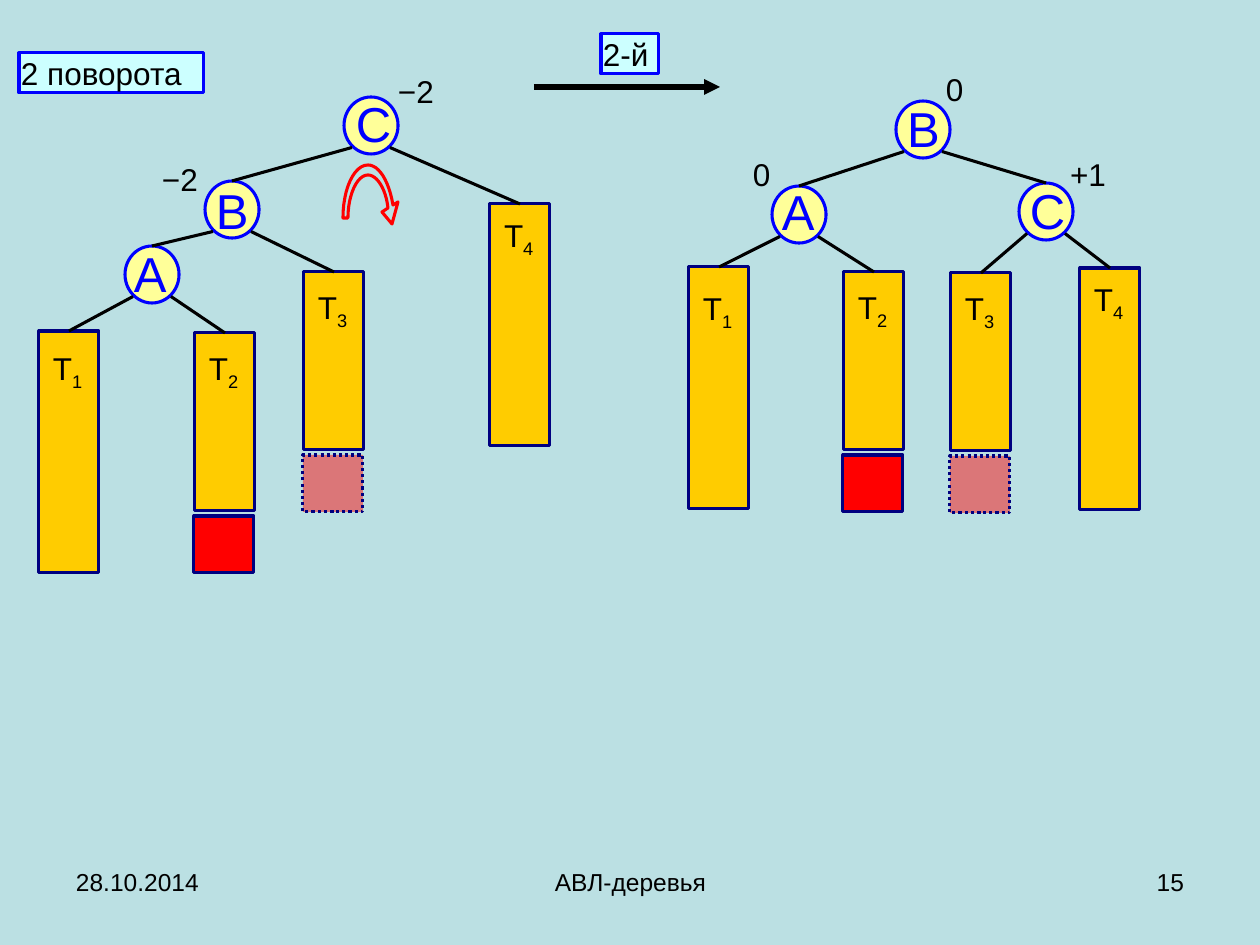
import pptx
import pptx.util
import pptx.dml.color
import pptx.enum.dml
import pptx.enum.shapes
import pptx.enum.text
import pptx.oxml
import pptx.oxml.ns
from lxml import etree

RGB = pptx.dml.color.RGBColor
SHAPE = pptx.enum.shapes.MSO_SHAPE
ALIGN = pptx.enum.text.PP_ALIGN

BACKGROUND = RGB(0xBB, 0xE0, 0xE3)
BLACK = RGB(0, 0, 0)
BLUE = RGB(0, 0, 0xFF)
NAVY = RGB(0, 0, 0x80)
RED = RGB(0xFF, 0, 0)
GOLD = RGB(0xFF, 0xCC, 0)
PALE_YELLOW = RGB(0xFF, 0xFF, 0x99)
PALE_CYAN = RGB(0xCC, 0xFF, 0xFF)

NODE_W, NODE_H = 54, 57
RIM_DX, RIM_DY = 19, 22  # where edges leave a node, from its centre
SUBTREE_W, TALL, SHORT = 60, 242, 178
BLOCK_H = 57

# Nodes: letter -> circle left, top, letter left, top
# Subtrees: index -> left, top, height, label drop, extra block
# Edges: parent -> left child, right child
BEFORE = {
    "nodes": {"A": (125, 246, 132, 243), "B": (205, 181, 214, 180),
              "C": (344, 97, 354, 93)},
    "subtrees": {"1": (39, 331, TALL, 17, None), "2": (195, 333, SHORT, 15, "solid"),
                 "3": (304, 272, SHORT, 15, "dotted"), "4": (490, 204, TALL, 11, None)},
    "edges": {"A": "12", "B": "A3", "C": "B4"},
    "balances": [("−2", 396, 71), ("−2", 160, 159)],
}
AFTER = {
    "nodes": {"A": (772, 186, 780, 181), "B": (896, 101, 905, 98),
              "C": (1019, 183, 1028, 180)},
    "subtrees": {"1": (689, 267, TALL, 21, None), "2": (844, 272, SHORT, 15, "solid"),
                 "3": (951, 273, SHORT, 15, "dotted"), "4": (1080, 268, TALL, 11, None)},
    "edges": {"A": "12", "B": "AC", "C": "34"},
    "balances": [("0", 944, 69), ("0", 751, 154), ("+1", 1068, 154)],
}


def px(*lengths):
    return [pptx.util.Emu(round(n * 914400 / 126)) for n in lengths]


def style(shape, fill, line):
    shape.shadow.inherit = False
    shape.fill.solid()
    shape.fill.fore_color.rgb = fill
    shape.line.color.rgb = line
    shape.line.width = pptx.util.Pt(1.75)


def add_figure(slide, kind, box, fill, line):
    figure = slide.shapes.add_shape(kind, *px(*box))
    style(figure, fill, line)
    return figure


def write(shape, text, size, color=BLACK, subscript="", align=ALIGN.LEFT,
          wrap=True, insets=(2, 1)):
    frame = shape.text_frame
    frame.word_wrap = wrap
    frame.vertical_anchor = pptx.enum.text.MSO_ANCHOR.TOP
    frame.margin_left = frame.margin_right = px(insets[0])[0]
    frame.margin_top = frame.margin_bottom = px(insets[1])[0]
    paragraph = frame.paragraphs[0]
    paragraph.alignment = align
    for part in filter(None, (text, subscript)):
        run = paragraph.add_run()
        run.text = part
        run.font.name = "Arial"
        run.font.size = pptx.util.Pt(size)
        run.font.color.rgb = color
    if subscript:
        run.font._element.set("baseline", "-25000")


def add_label(slide, box, text, size, **options):
    write(slide.shapes.add_textbox(*px(*box)), text, size, **options)


def add_line(slide, start, end, width=1.75):
    line = slide.shapes.add_connector(
        pptx.enum.shapes.MSO_CONNECTOR.STRAIGHT, *px(*start, *end))
    line.line.color.rgb = BLACK
    line.line.width = pptx.util.Pt(width)
    etree.SubElement(line._element.spPr, pptx.oxml.ns.qn("a:effectLst"))
    return line


def add_subtree(slide, index, left, top, height, drop, block):
    if block:
        extra = add_figure(slide, SHAPE.RECTANGLE,
                           (left - 1, top + 183, SUBTREE_W, BLOCK_H), RED, NAVY)
        if block == "dotted":
            extra.line.dash_style = pptx.enum.dml.MSO_LINE.ROUND_DOT
            color = extra._element.spPr.find(".//" + pptx.oxml.ns.qn("a:srgbClr"))
            etree.SubElement(color, pptx.oxml.ns.qn("a:alpha")).set("val", "47000")
    bar = add_figure(slide, SHAPE.RECTANGLE, (left, top, SUBTREE_W, height), GOLD, NAVY)
    add_label(slide, (left + 12, top + drop, 44, 45), "T", 18, subscript=index)
    return bar


def add_node(slide, letter, left, top, letter_left, letter_top):
    node = add_figure(slide, SHAPE.OVAL, (left, top, NODE_W, NODE_H), PALE_YELLOW, BLUE)
    add_label(slide, (letter_left, letter_top, 42, 62), letter, 28, color=BLUE, wrap=False)
    return node


def add_tree(slide, tree):
    parts = {index: add_subtree(slide, index, *place)
             for index, place in tree["subtrees"].items()}
    for letter, place in tree["nodes"].items():
        parts[letter] = add_node(slide, letter, *place)
    for parent, children in tree["edges"].items():
        left, top = tree["nodes"][parent][:2]
        for side, child in zip((-1, 1), children):
            rim = (left + NODE_W / 2 + side * RIM_DX, top + NODE_H / 2 + RIM_DY)
            add_line(slide, rim, rim).end_connect(parts[child], 0)
    for text, left, top in tree["balances"]:
        add_label(slide, (left, top, 47, 40), text, 18)


def curve(start, c1, c2, end, steps=12):
    """Points along a cubic curve, without its start."""
    for step in range(1, steps + 1):
        t = step / steps
        weights = ((1 - t) ** 3, 3 * t * (1 - t) ** 2, 3 * t * t * (1 - t), t ** 3)
        yield tuple(sum(w * p[axis] for w, p in zip(weights, (start, c1, c2, end)))
                    for axis in (0, 1))


def add_rotation_arrow(slide):
    outline = [
        *curve((388, 208), (386, 189), (377, 175), (368, 175)),
        *curve((368, 175), (357, 175), (348, 195), (348, 218)),
        (343, 218),
        *curve((343, 218), (343, 189), (354, 165), (368, 165)),
        *curve((368, 165), (379, 165), (389, 181), (393, 205)),
        (398, 202), (392, 224), (382, 212),
    ]
    builder = slide.shapes.build_freeform(*px(388, 208))
    builder.add_line_segments([px(*point) for point in outline], close=True)
    style(builder.convert_to_shape(), BACKGROUND, RED)


def add_caption(slide, box, text):
    write(add_figure(slide, SHAPE.RECTANGLE, box, PALE_CYAN, BLUE), text, 18)


def main():
    deck = pptx.Presentation()
    deck.slide_width, deck.slide_height = px(1260, 945)
    slide = deck.slides.add_slide(deck.slide_layouts[6])
    slide.background.fill.solid()
    slide.background.fill.fore_color.rgb = BACKGROUND

    # Footer
    for left, width, text, align in ((63, 294, "28.10.2014", ALIGN.LEFT),
                                     (431, 399, "АВЛ-деревья", ALIGN.CENTER),
                                     (903, 294, "15", ALIGN.RIGHT)):
        add_label(slide, (left, 861, width, 66), text, 14, align=align, insets=(13, 6))

    # Trees before and after the second rotation
    add_tree(slide, BEFORE)
    add_rotation_arrow(slide)
    add_tree(slide, AFTER)

    # Step arrow and captions
    step = add_line(slide, (534, 87), (720, 87), width=3)
    etree.SubElement(step.line._get_or_add_ln(),
                     pptx.oxml.ns.qn("a:tailEnd")).set("type", "triangle")
    add_caption(slide, (19, 53, 185, 40), "2 поворота")
    add_caption(slide, (601, 34, 58, 40), "2-й")

    deck.save("out.pptx")


if __name__ == "__main__":
    main()
